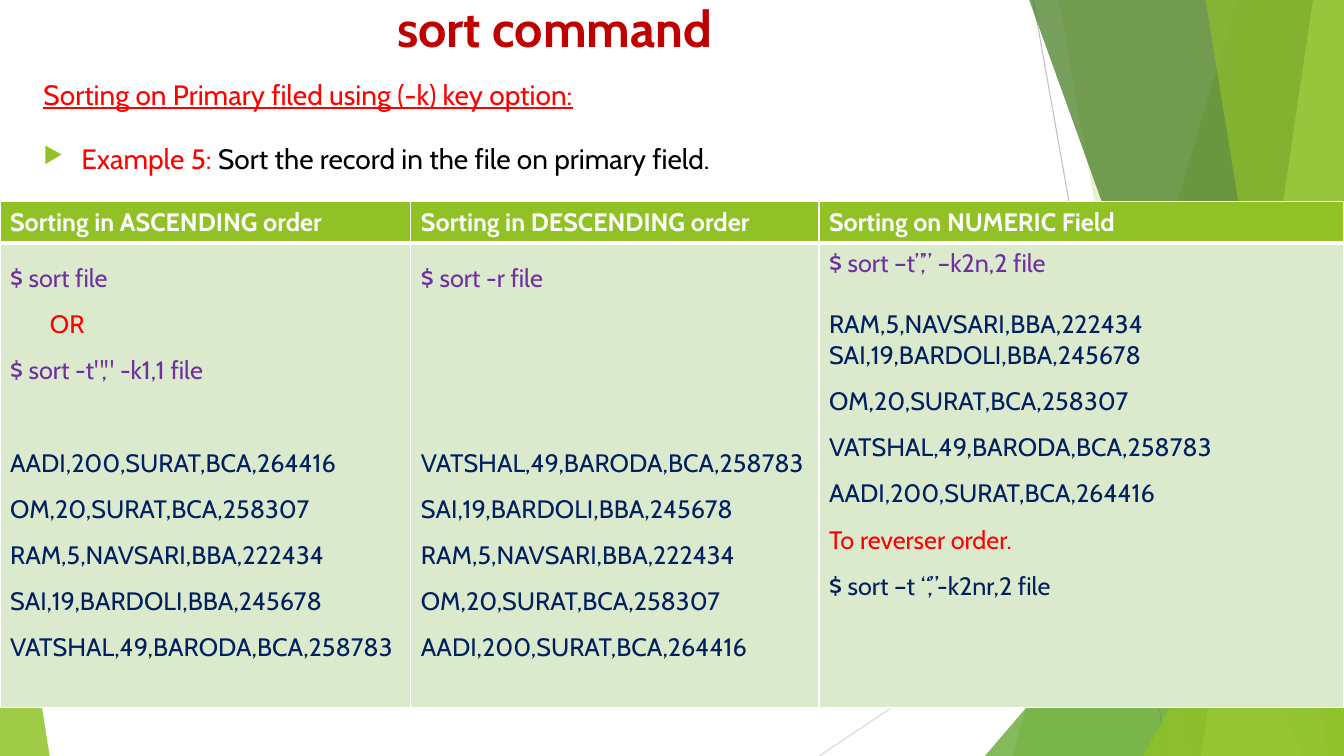
from lxml.etree import SubElement
from pptx import Presentation
from pptx.dml.color import RGBColor
from pptx.enum.shapes import MSO_CONNECTOR, MSO_SHAPE
from pptx.enum.text import MSO_ANCHOR, PP_ALIGN
from pptx.oxml.ns import qn
from pptx.util import Pt

WIDE, HIGH = 960, 540
FONT = "Cabin"
HEX = {
    "white": "FFFFFF", "black": "000000", "maroon": "C00000", "red": "FF0000",
    "purple": "7030A0", "navy": "002060", "lime": "90C226", "pale": "DBE9CD",
    "leaf": "54A021", "forest": "3F7819", "light": "C0E474",
    "gray": "BFBFBF", "silver": "D9D9D9",
}
RECORDS = [
    "AADI,200,SURAT,BCA,264416",
    "OM,20,SURAT,BCA,258307",
    "RAM,5,NAVSARI,BBA,222434",
    "SAI,19,BARDOLI,BBA,245678",
    "VATSHAL,49,BARODA,BCA,258783",
]
HEADS = ["Sorting in ASCENDING order", "Sorting in DESCENDING order",
         "Sorting on NUMERIC Field"]
COLS = [293.5, 291.5, 375]
ROWS = [29.5, 332]
LOOSE = 1.5
# Height of one empty 18 pt line, single and loose
GAP, WIDE_GAP = 22, 33


def rgb(name):
    return RGBColor.from_string(HEX[name])


def style(para, size, color, bold=False, underline=False):
    font = para.font
    font.name, font.size = FONT, Pt(size)
    font.bold, font.underline = bold, underline
    font.color.rgb = rgb(color)


def paint(shape, color, alpha):
    """Give a shape a see-through fill without line or shadow."""
    shape.shadow.inherit = False
    shape.line.fill.background()
    shape.fill.solid()
    shape.fill.fore_color.rgb = rgb(color)
    tint = shape.fill._xPr.find(qn("a:solidFill"))[0]
    SubElement(tint, qn("a:alpha"), val=str(alpha * 1000))


def add_line(slide, start, end, color):
    line = slide.shapes.add_connector(
        MSO_CONNECTOR.STRAIGHT, *map(Pt, start + end))
    line.line.color.rgb = rgb(color)
    line.line.width = Pt(0.75)
    SubElement(line._element.spPr, qn("a:effectLst"))


def add_band(slide, top, foot, color, alpha):
    """Fill from a slanted edge to the right side of the slide."""
    edge = Pt(-0.6)
    pen = slide.shapes.build_freeform(Pt(top), edge)
    pen.add_line_segments([(Pt(WIDE), edge), (Pt(WIDE), Pt(HIGH)),
                           (Pt(foot), Pt(HIGH))])
    paint(pen.convert_to_shape(), color, alpha)


def add_peak(slide, left, top, width, apex, color, alpha):
    """Draw a triangle that stands on the foot of the slide."""
    peak = slide.shapes.add_shape(
        MSO_SHAPE.ISOSCELES_TRIANGLE,
        Pt(left), Pt(top), Pt(width), Pt(HIGH - top))
    peak.adjustments[0] = apex
    paint(peak, color, alpha)


def add_decor(slide):
    add_line(slide, (738, 0), (834, HIGH), "gray")
    add_line(slide, (WIDE, 290), (585, HIGH), "silver")
    add_band(slide, 884, 723, "lime", 30)
    add_band(slide, 756, 852, "lime", 20)
    add_peak(slide, 703.5, 240, 256.5, 1, "leaf", 72)
    add_band(slide, 735, 929.5, "forest", 70)
    add_band(slide, 938, 858, "light", 70)
    add_band(slide, 861, 949, "lime", 65)
    add_peak(slide, 816.5, 283, 143.5, 1, "lime", 80)
    add_peak(slide, 0, 316, 35.5, 0, "lime", 85)


def set_title(slide):
    title = slide.shapes.title
    title.left, title.top = Pt(276.5), Pt(-7)
    title.width, title.height = Pt(350), Pt(52.5)
    frame = title.text_frame
    frame.text = "sort command"
    frame.vertical_anchor = MSO_ANCHOR.MIDDLE
    para = frame.paragraphs[0]
    para.alignment = PP_ALIGN.LEFT
    style(para, 36, "maroon", bold=True)


def add_bullet(para, mark, indent):
    props = para._p.get_or_add_pPr()
    props.set("marL", str(Pt(indent)))
    props.set("indent", str(Pt(-indent)))
    tint = SubElement(props, qn("a:buClr"))
    SubElement(tint, qn("a:srgbClr"), val=HEX["lime"])
    SubElement(props, qn("a:buSzPct"), val="80000")
    SubElement(props, qn("a:buChar"), char=mark)


def add_intro(slide):
    box = slide.shapes.add_textbox(Pt(24), Pt(39.5), Pt(806), Pt(415))
    frame = box.text_frame
    frame.word_wrap = True
    topic, task = frame.paragraphs[0], frame.add_paragraph()
    for para in (topic, task):
        para.alignment = PP_ALIGN.JUSTIFY
        para.line_spacing = LOOSE
        para.space_before = Pt(10)
    topic.add_run().text = "Sorting on Primary filed using (-k) key option:"
    add_bullet(task, "▶", 27)
    label, rest = task.add_run(), task.add_run()
    label.text = "Example 5: "
    rest.text = "Sort the record in the file on primary field."
    label.font.color.rgb = rgb("red")
    rest.font.color.rgb = rgb("black")
    style(topic, 20, "red", underline=True)
    style(task, 20, "black")


def dress(cell, color, top, foot):
    """Set the white borders and the fill of a cell."""
    props = cell._tc.get_or_add_tcPr()
    for side, width in zip("LRTB", (1, 1, top, foot)):
        edge = SubElement(props, qn("a:ln" + side), w=str(Pt(width)))
        fill = SubElement(edge, qn("a:solidFill"))
        SubElement(fill, qn("a:srgbClr"), val=HEX["white"])
    cell.fill.solid()
    cell.fill.fore_color.rgb = rgb(color)


def write(cell, lines):
    """Fill a cell with (text, color, gap before, line spacing, indent)."""
    frame = cell.text_frame
    for i, (text, color, gap, space, indent) in enumerate(lines):
        para = frame.add_paragraph() if i else frame.paragraphs[0]
        para.add_run().text = text
        para.alignment = PP_ALIGN.JUSTIFY
        para.line_spacing = space
        para.space_before = Pt(gap)
        if indent:
            para._p.get_or_add_pPr().set("marL", str(Pt(indent)))
        style(para, 18, color)


def line(text, color="navy", gap=0, space=LOOSE, indent=0):
    return text, color, gap, space, indent


def listing(rows, gap):
    """Put the given gap ahead of the first record."""
    return [line(rows[0], gap=gap)] + [line(row) for row in rows[1:]]


def add_sorts(slide):
    table = slide.shapes.add_table(
        2, 3, 0, Pt(144), Pt(WIDE), Pt(sum(ROWS))).table
    for col, width in zip(table.columns, COLS):
        col.width = Pt(width)
    for row, height in zip(table.rows, ROWS):
        row.height = Pt(height)
    ranked = sorted(RECORDS, key=lambda row: int(row.split(",")[1]))
    bodies = [
        [line("$ sort file", "purple"), line("OR", "red", indent=28.5),
         line('$ sort -t"," -k1,1 file', "purple"),
         *listing(RECORDS, WIDE_GAP)],
        [line("$ sort -r file", "purple"),
         *listing(RECORDS[::-1], 3 * WIDE_GAP)],
        [line("$ sort –t”,” –k2n,2 file", "purple", space=1),
         line(ranked[0], gap=GAP, space=1), line(ranked[1], space=1),
         *listing(ranked[2:], 0),
         line("To reverser order.", "red"),
         line("$ sort –t “,”-k2nr,2 file")],
    ]
    for i, (head, body) in enumerate(zip(HEADS, bodies)):
        top, cell = table.cell(0, i), table.cell(1, i)
        dress(top, "lime", 1, 3)
        dress(cell, "pale", 3, 1)
        top.text = head
        style(top.text_frame.paragraphs[0], 18, "white", bold=True)
        write(cell, body)


def main():
    deck = Presentation()
    deck.slide_width, deck.slide_height = Pt(WIDE), Pt(HIGH)
    slide = deck.slides.add_slide(deck.slide_layouts[5])
    add_decor(slide)
    set_title(slide)
    add_intro(slide)
    add_sorts(slide)
    deck.save("out.pptx")


if __name__ == "__main__":
    main()
